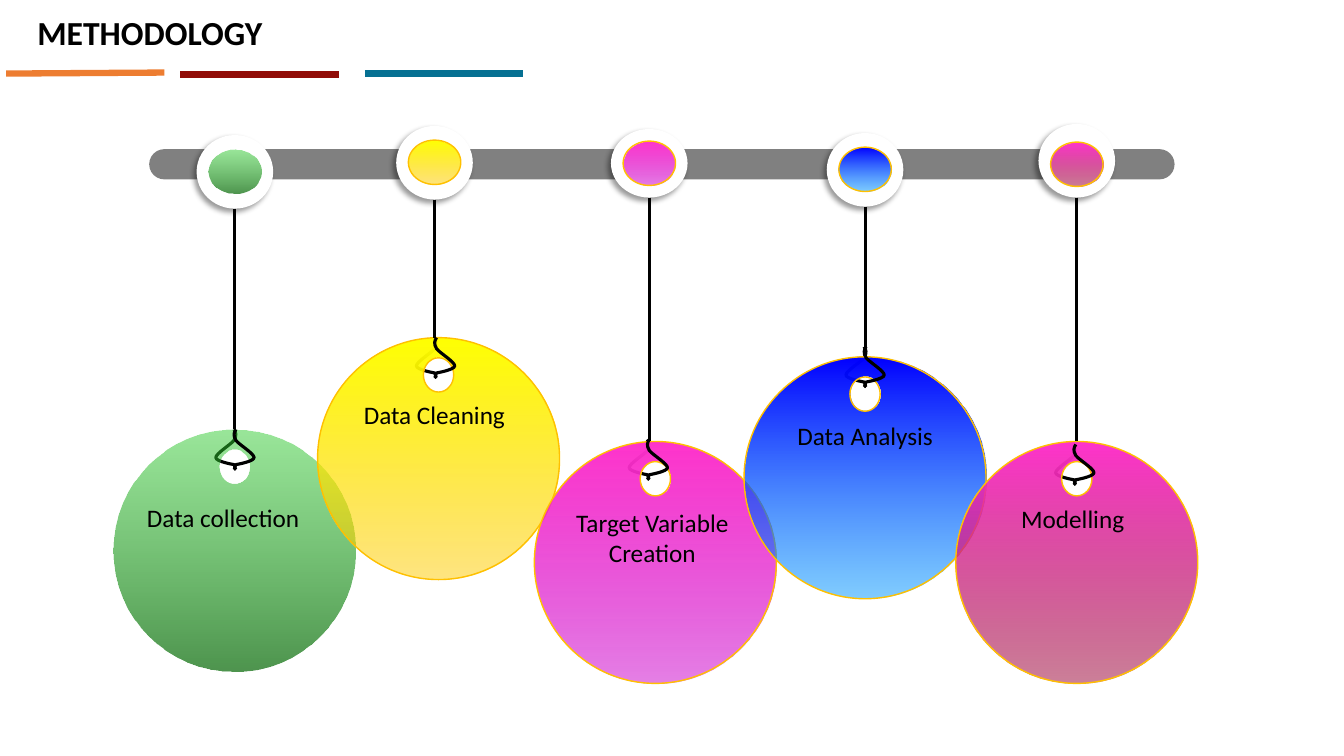
from dataclasses import dataclass

from lxml import etree
from pptx import Presentation
from pptx.dml.color import RGBColor
from pptx.enum.shapes import MSO_CONNECTOR, MSO_SHAPE
from pptx.enum.text import MSO_ANCHOR, PP_ALIGN
from pptx.oxml.ns import qn
from pptx.util import Inches, Pt

LEFT, CENTER = PP_ALIGN.LEFT, PP_ALIGN.CENTER
MIDDLE = MSO_ANCHOR.MIDDLE
OVAL, BAR = MSO_SHAPE.OVAL, MSO_SHAPE.ROUNDED_RECTANGLE
STRAIGHT = MSO_CONNECTOR.STRAIGHT

FONT = "Calibri"
BLACK = RGBColor(0x00, 0x00, 0x00)
WHITE = RGBColor(0xFF, 0xFF, 0xFF)
GRAY = RGBColor(0x80, 0x80, 0x80)
GOLD = RGBColor(0xFF, 0xC0, 0x00)
ORANGE = RGBColor(0xED, 0x7D, 0x31)
DARK_RED = RGBColor(0x91, 0x0C, 0x07)
TEAL = RGBColor(0x05, 0x70, 0x92)
GREEN = RGBColor(0x33, 0xCC, 0x33)
DARK_GREEN = RGBColor(0x00, 0x66, 0x00)
YELLOW = RGBColor(0xFF, 0xFF, 0x00)
AMBER = RGBColor(0xFF, 0xCC, 0x00)
PINK = RGBColor(0xFF, 0x33, 0xCC)
PURPLE = RGBColor(0xCC, 0x00, 0xCC)
BLUE = RGBColor(0x00, 0x00, 0xFF)
SKY = RGBColor(0x00, 0x99, 0xFF)
MAROON = RGBColor(0x99, 0x00, 0x33)

DISC, RING_W = 2.4, 0.76
DOT_W, DOT_H = 0.52, 0.44
HOLE_W, HOLE_H, HOLE_DROP = 0.3, 0.34, 0.2
ROUND = 0.55  # control-arm length of a quarter circle
HOOK_CURVES = [  # offsets from the top of the hook, bulging to the right
    [(0, 0), (-0.02, 0.03), (-0.03, 0.06), (0, 0.11)],
    [(0, 0.11), (0.03, 0.15), (0.18, 0.24), (0.18, 0.28)],
    [(0.18, 0.28), (0.18, 0.32), (0, 0.35), (0, 0.35)],
    [(0, 0.35), (-0.03, 0.37), (0, 0.4), (0, 0.4)],
]
Curve = list[tuple[float, float]]


@dataclass
class Fade:
    """A vertical gradient; opacities are percentages."""
    top: RGBColor
    top_opacity: int
    bottom: RGBColor
    bottom_opacity: int


@dataclass
class Tag:
    """One step: a ring on the bar, a cord and a hanging disc."""
    text: str
    fade: Fade
    outlined: bool
    ring_x: float
    ring_top: float
    ring_h: float
    dot_top: float
    disc_x: float
    disc_top: float
    hook_x: float
    hook_top: float
    label: tuple[float, float, float, float]
    align: PP_ALIGN = LEFT


TAGS = [
    Tag("Data collection", Fade(GREEN, 50, DARK_GREEN, 70), False, 2.33, 1.34, 0.73,
        1.48, 2.33, 4.26, 2.34, 4.26, (1.36, 4.93, 1.86, 0.4)),
    Tag("Data Cleaning", Fade(YELLOW, 100, AMBER, 50), True, 4.31, 1.25, 0.73,
        1.39, 4.35, 3.35, 4.33, 3.35, (3.51, 3.91, 2.45, 0.4)),
    Tag("Target Variable Creation", Fade(PINK, 100, PURPLE, 50), True, 6.44, 1.28, 0.68,
        1.4, 6.5, 4.38, 6.44, 4.36, (5.22, 4.98, 2.5, 0.71), CENTER),
    Tag("Data Analysis", Fade(BLUE, 100, SKY, 50), True, 8.58, 1.32, 0.73,
        1.46, 8.58, 3.54, 8.59, 3.44, (7.81, 4.12, 2.54, 0.4)),
    Tag("Modelling", Fade(PINK, 100, MAROON, 50), True, 10.68, 1.23, 0.73,
        1.41, 10.68, 4.38, 10.67, 4.41, (10.03, 4.94, 3.24, 0.4)),
]
ACCENTS = [(0.06, 0.73, 0.72, ORANGE), (3.62, 0.73, 0.73, TEAL), (1.79, 0.74, 0.74, DARK_RED)]
ACCENT_W = 1.57


def add_line(s, x1: float, y1: float, x2: float, y2: float, color: RGBColor, width: float):
    """Draw a straight line without a shadow."""
    line = s.shapes.add_connector(STRAIGHT, Inches(x1), Inches(y1), Inches(x2), Inches(y2))
    line.line.color.rgb = color
    line.line.width = Pt(width)
    etree.SubElement(line._element.spPr, qn("a:effectLst"))


def add_solid(s, kind, x: float, y: float, w: float, h: float, color: RGBColor):
    """Draw a plain preset shape in one colour."""
    shape = s.shapes.add_shape(kind, Inches(x), Inches(y), Inches(w), Inches(h))
    shape.shadow.inherit = False
    shape.fill.solid()
    shape.fill.fore_color.rgb = color
    shape.line.fill.background()
    return shape


def add_curves(s, contours: list[list[Curve]], closed: bool):
    """Build a freeform from contours of cubic curves."""
    start = contours[0][0][0]
    builder = s.shapes.build_freeform(*map(Inches, start))
    for contour in contours:
        if contour is not contours[0]:
            builder.move_to(*map(Inches, contour[0][0]))
        ends = [(Inches(x), Inches(y)) for *_, (x, y) in contour]
        builder.add_line_segments(ends, close=closed)
    shape = builder.convert_to_shape()
    shape.shadow.inherit = False
    segments = list(shape._element.spPr.iter(qn("a:lnTo")))
    curves = [curve for contour in contours for curve in contour]
    for segment, curve in zip(segments, curves):
        bend = etree.Element(qn("a:cubicBezTo"))
        for x, y in curve[1:]:
            etree.SubElement(bend, qn("a:pt"), x=str(Inches(x) - shape.left),
                             y=str(Inches(y) - shape.top))
        segment.getparent().replace(segment, bend)
    return shape


def ellipse_curves(cx: float, cy: float, w: float, h: float, turn: int) -> list[Curve]:
    """Return four quarter curves; turn is 1 for clockwise, -1 for the reverse."""
    curves = []
    ux, uy = 0, -1
    for _ in range(4):
        vx, vy = -uy * turn, ux * turn
        unit = [(ux, uy), (ux + ROUND * vx, uy + ROUND * vy),
                (vx + ROUND * ux, vy + ROUND * uy), (vx, vy)]
        curves.append([(cx + w / 2 * x, cy + h / 2 * y) for x, y in unit])
        ux, uy = vx, vy
    return curves


def apply_fade(shape, tag: Tag):
    """Fill a shape with the tag's gradient and set its outline."""
    shape.fill.gradient()
    shape.fill.gradient_angle = 270
    fade = tag.fade
    looks = [(fade.top, fade.top_opacity), (fade.bottom, fade.bottom_opacity)]
    for stop, (color, _) in zip(shape.fill.gradient_stops, looks):
        stop.color.rgb = color
    for clr, (_, opacity) in zip(shape._element.spPr.iter(qn("a:srgbClr")), looks):
        etree.SubElement(clr, qn("a:alpha"), val=str(opacity * 1000))
    if tag.outlined:
        shape.line.color.rgb = GOLD
        shape.line.width = Pt(1)
    else:
        shape.line.fill.background()


def add_ring_shadow(shape):
    """Cast a soft shadow to the lower left."""
    effects = shape._element.spPr.find(qn("a:effectLst"))
    shadow = etree.SubElement(effects, qn("a:outerShdw"), blurRad=str(Pt(4)),
                              dist=str(Pt(3)), dir=str(135 * 60000), rotWithShape="0")
    color = etree.SubElement(shadow, qn("a:srgbClr"), val=str(BLACK))
    etree.SubElement(color, qn("a:alpha"), val="40000")


def add_disc(s, tag: Tag):
    """Draw the hanging disc with a hole near its top."""
    outer = ellipse_curves(tag.disc_x, tag.disc_top + DISC / 2, DISC, DISC, 1)
    hole_y = tag.disc_top + HOLE_DROP + HOLE_H / 2
    hole = ellipse_curves(tag.disc_x, hole_y, HOLE_W, HOLE_H, -1)
    apply_fade(add_curves(s, [outer, hole], True), tag)


def add_hook(s, x: float, y: float, side: int):
    """Draw half of the cord loop; side is 1 for right, -1 for left."""
    curves = [[(x + side * dx, y + dy) for dx, dy in curve] for curve in HOOK_CURVES]
    hook = add_curves(s, [curves], False)
    hook.fill.background()
    hook.line.color.rgb = BLACK
    hook.line.width = Pt(2.25)


def write(tf, text: str, size: int, bold: bool, align: PP_ALIGN):
    """Put one formatted run into a text frame."""
    tf.word_wrap = True
    p = tf.paragraphs[0]
    p.alignment = align
    r = p.add_run()
    r.text = text
    r.font.name, r.font.size, r.font.bold = FONT, Pt(size), bold
    r.font.color.rgb = BLACK


def add_tag(s, tag: Tag):
    """Draw one step from back to front."""
    add_hook(s, tag.hook_x - 0.02, tag.hook_top, -1)
    add_disc(s, tag)
    ring = add_solid(s, OVAL, tag.ring_x - RING_W / 2, tag.ring_top, RING_W, tag.ring_h, WHITE)
    add_ring_shadow(ring)
    dot = add_solid(s, OVAL, tag.ring_x - DOT_W / 2, tag.dot_top, DOT_W, DOT_H, WHITE)
    apply_fade(dot, tag)
    add_line(s, tag.ring_x, tag.ring_top + tag.ring_h, tag.ring_x, tag.disc_top, BLACK, 2.25)
    add_hook(s, tag.hook_x, tag.hook_top, 1)
    label = s.shapes.add_textbox(*map(Inches, tag.label))
    write(label.text_frame, tag.text, 18, False, tag.align)


prs = Presentation()
prs.slide_width, prs.slide_height = Inches(13.33), Inches(7.5)
s = prs.slides.add_slide(prs.slide_layouts[5])
title = s.shapes.title
title.left, title.top, title.width, title.height = map(Inches, (0.27, 0.07, 4.01, 0.5))
title.text_frame.vertical_anchor = MIDDLE
write(title.text_frame, "METHODOLOGY", 24, True, LEFT)
bar = add_solid(s, BAR, 1.48, 1.48, 10.17, 0.3, GRAY)
bar.adjustments[0] = 0.5
for tag in TAGS:
    add_tag(s, tag)
for x, y1, y2, color in ACCENTS:
    add_line(s, x, y1, x + ACCENT_W, y2, color, 4.5)
prs.save("out.pptx")
